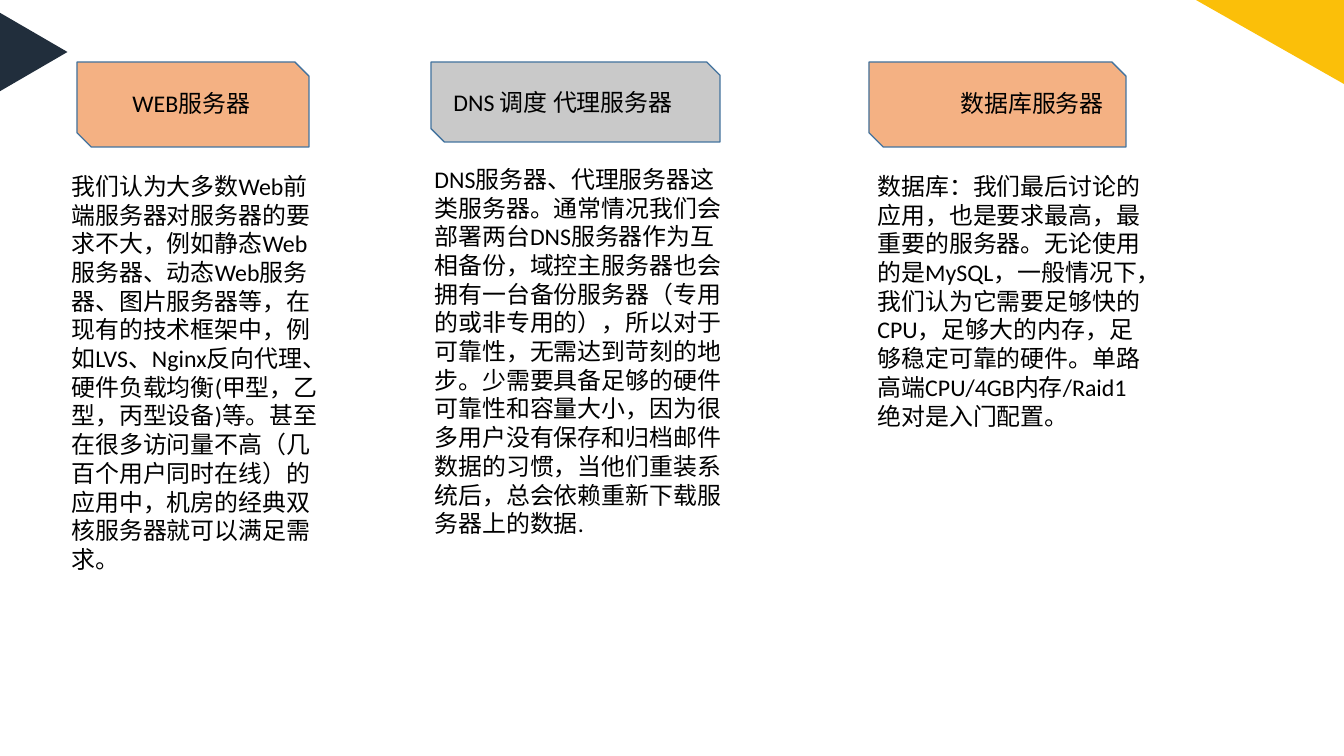
import pptx
import pptx.dml.color
import pptx.enum.shapes
import pptx.util

PX = 9565  # EMU per px
SHAPES = pptx.enum.shapes.MSO_SHAPE
THEME = {
    "navy": "212E3C", "yellow": "FBBF09", "orange": "F4B183", "gray": "C9C9C9",
    "outline": "43739E", "text": "000000", "font": "Calibri", "size": 18, "line": 1,
}


def add_filled_shape(kind, box, color, rotation=0):
    shape = slide.shapes.add_shape(kind, *[value * PX for value in box])
    shape.shadow.inherit = False
    shape.rotation = rotation
    shape.fill.solid()
    shape.fill.fore_color.rgb = pptx.dml.color.RGBColor.from_string(THEME[color])
    shape.line.fill.background()
    return shape


def add_text(text, box):
    text_box = slide.shapes.add_textbox(*[value * PX for value in box])
    text_box.text_frame.word_wrap = True
    text_box.text_frame.text = text
    font = text_box.text_frame.paragraphs[0].runs[0].font
    font.name = THEME["font"]
    font.size = pptx.util.Pt(THEME["size"])
    font.color.rgb = pptx.dml.color.RGBColor.from_string(THEME["text"])


presentation = pptx.Presentation()
presentation.slide_width = 1344 * PX
presentation.slide_height = 756 * PX
slide = presentation.slides.add_slide(presentation.slide_layouts[6])

# Corner decorations
add_filled_shape(SHAPES.ISOSCELES_TRIANGLE, (-6, 18, 79, 68), "navy", 90)
add_filled_shape(SHAPES.RIGHT_TRIANGLE, (1196, 0, 148, 84), "yellow", 180)

# Server columns: card color and box, label and box, description and box
servers = [
    ("orange", (77, 62, 232, 85), "WEB服务器", (123, 84, 169, 38),
     "我们认为大多数Web前端服务器对服务器的要求不大，例如静态Web服务器、动态Web服务器、"
     "图片服务器等，在现有的技术框架中，例如LVS、Nginx反向代理、硬件负载均衡"
     "(甲型，乙型，丙型设备)等。甚至在很多访问量不高（几百个用户同时在线）的应用中，"
     "机房的经典双核服务器就可以满足需求。", (62, 167, 275, 411)),
    ("gray", (431, 62, 289, 80), "DNS 调度 代理服务器", (444, 83, 290, 38),
     "DNS服务器、代理服务器这类服务器。通常情况我们会部署两台DNS服务器作为互相备份，"
     "域控主服务器也会拥有一台备份服务器（专用的或非专用的），所以对于可靠性，"
     "无需达到苛刻的地步。少需要具备足够的硬件可靠性和容量大小，因为很多用户没有保存和"
     "归档邮件数据的习惯，当他们重装系统后，总会依赖重新下载服务器上的数据.",
     (425, 160, 310, 382)),
    ("orange", (869, 62, 257, 85), "数据库服务器", (951, 84, 175, 38),
     "数据库：我们最后讨论的应用，也是要求最高，最重要的服务器。无论使用的是MySQL，"
     "一般情况下，我们认为它需要足够快的CPU，足够大的内存，足够稳定可靠的硬件。"
     "单路高端CPU/4GB内存/Raid1绝对是入门配置。", (868, 167, 282, 296)),
]
for color, card_box, label, label_box, description, description_box in servers:
    card = add_filled_shape(SHAPES.SNIP_2_DIAG_RECTANGLE, card_box, color)
    card.line.color.rgb = pptx.dml.color.RGBColor.from_string(THEME["outline"])
    card.line.width = pptx.util.Pt(THEME["line"])
    add_text(label, label_box)
    add_text(description, description_box)

presentation.save("out.pptx")
